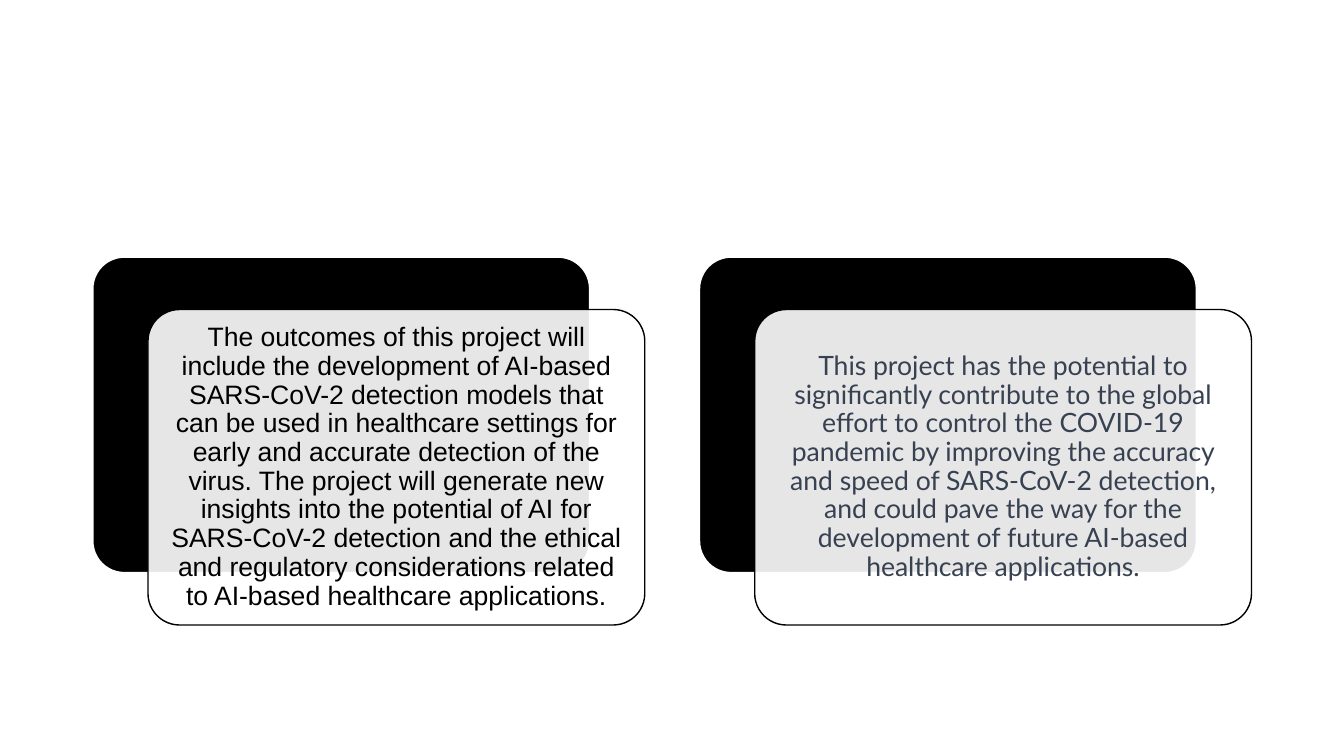
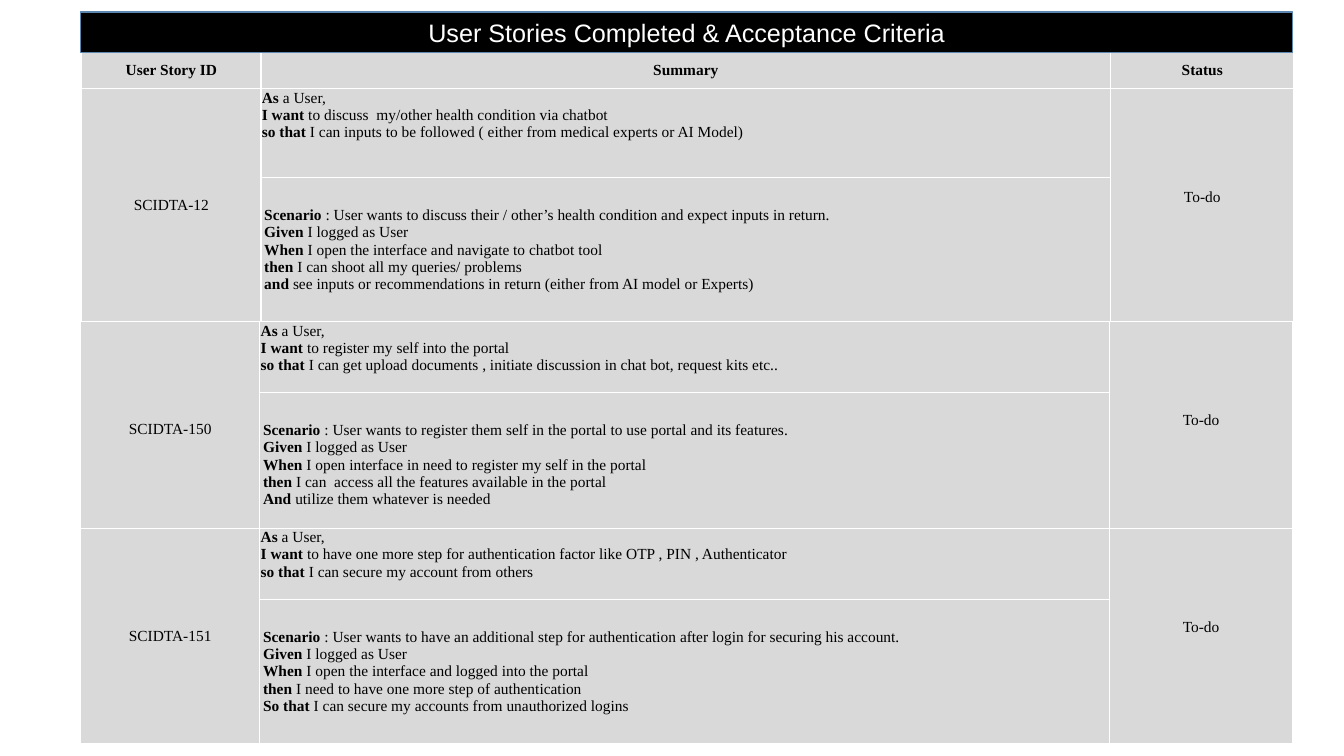
from lxml import etree
from pptx import Presentation
from pptx.dml.color import RGBColor
from pptx.enum.shapes import MSO_SHAPE
from pptx.enum.text import MSO_ANCHOR, PP_ALIGN
from pptx.oxml import parse_xml
from pptx.oxml.ns import nsdecls, qn
from pptx.util import Cm, Pt

COLOURS = {"black": "000000", "white": "FFFFFF", "grey": "D9D9D9",
           "slate": "374151", "title_line": "5C87B1"}
RGB = {name: RGBColor.from_string(value) for name, value in COLOURS.items()}


def add_box(slide, kind, bounds, fill, line):
    """Add a filled, outlined shape without a shadow."""
    shape = slide.shapes.add_shape(kind, *(Cm(length) for length in bounds))
    shape.shadow.inherit = False
    shape.fill.solid()
    shape.fill.fore_color.rgb = RGB[fill]
    shape.line.color.rgb = RGB[line]
    shape.line.width = Pt(1)
    return shape


def write_text(frame, lines, alignment, size, font, colour, line_spacing=1.0):
    """Write one paragraph per line; each line is a list of (text, bold)."""
    for index, runs in enumerate(lines):
        paragraph = frame.add_paragraph() if index else frame.paragraphs[0]
        paragraph.alignment = alignment
        paragraph.line_spacing = line_spacing
        for text, bold in runs:
            run = paragraph.add_run()
            run.text = text
            style = {"size": Pt(size), "name": font, "bold": bold}
            for attribute, value in style.items():
                setattr(run.font, attribute, value)
            run.font.color.rgb = RGB[colour]


presentation = Presentation()
presentation.slide_width = Cm(33.87)
presentation.slide_height = Cm(19.05)
blank_layout = presentation.slide_layouts[6]

# Slide 1: two outcome cards, each over a black panel
slide = presentation.slides.add_slide(blank_layout)
outcomes = [
    ("The outcomes of this project will include the development of AI-based "
     "SARS-CoV-2 detection models that can be used in healthcare settings for "
     "early and accurate detection of the virus. The project will generate new "
     "insights into the potential of AI for SARS-CoV-2 detection and the ethical "
     "and regulatory considerations related to AI-based healthcare applications.",
     "Arial", "black"),
    ("This project has the potential to significantly contribute to the global "
     "effort to control the COVID-19 pandemic by improving the accuracy and speed "
     "of SARS-CoV-2 detection, and could pave the way for the development of "
     "future AI-based healthcare applications.",
     "Lato", "slate"),
]
card_width, card_height = 12.52, 7.95
for index, (text, font, colour) in enumerate(outcomes):
    left, top = 2.34 + index * 15.29, 6.48
    panel = add_box(slide, MSO_SHAPE.ROUNDED_RECTANGLE,
                    (left, top, card_width, card_height), "black", "white")
    card = add_box(slide, MSO_SHAPE.ROUNDED_RECTANGLE,
                   (left + 1.39, top + 1.32, card_width, card_height), "white", "black")
    for shape in (panel, card):
        shape.adjustments[0] = 0.1
    # The card lets a little of the panel show through
    fill_colour = card.fill._xPr.find(qn("a:solidFill"))[0]
    etree.SubElement(fill_colour, qn("a:alpha")).set("val", "90000")
    frame = card.text_frame
    frame_format = {"word_wrap": True, "vertical_anchor": MSO_ANCHOR.MIDDLE,
                    "margin_left": Cm(0.2), "margin_right": Cm(0.2),
                    "margin_top": Cm(0.2), "margin_bottom": Cm(0.2)}
    for attribute, value in frame_format.items():
        setattr(frame, attribute, value)
    write_text(frame, [[(text, False)]], PP_ALIGN.CENTER, 19, font, colour, 0.9)

# Slide 2: user stories; "|" ends the bold part of a line
slide = presentation.slides.add_slide(blank_layout)
headings = ["User Story ID", "Summary", "Status"]
stories = [
    ("SCIDTA-12", 2.06, 1.3, 2.24,
     ["As| a User,",
      "I want |to discuss  my/other health condition via chatbot",
      "so that |I can inputs to be followed ( either from medical experts or AI Model)"],
     ["Scenario| : User wants to discuss their / other’s health condition and expect inputs in return.",
      "Given| I logged as User",
      "When| I open the interface and navigate to chatbot tool",
      "then| I can shoot all my queries/ problems",
      "and| see inputs or recommendations in return (either from AI model or Experts)"]),
    ("SCIDTA-150", 2.03, 8.1, 1.8,
     ["As| a User,",
      "I want |to register my self into the portal",
      "so that |I can get upload documents , initiate discussion in chat bot, request kits etc.."],
     ["Scenario| : User wants to register them self in the portal to use portal and its features.",
      "Given| I logged as User",
      "When |I open interface in need to register my self in the portal",
      "then| I can  access all the features available in the portal",
      "And |utilize them whatever is needed"]),
    ("SCIDTA-151", 2.03, 13.31, 1.8,
     ["As| a User,",
      "I want |to have one more step for authentication factor like OTP , PIN , Authenticator",
      "so that |I can secure my account from others"],
     ["Scenario| : User wants to have an additional step for authentication after login for securing his account.",
      "Given| I logged as User",
      "When| I open the interface and logged into the portal",
      "then| I need to have one more step of authentication",
      "So that |I can secure my accounts from unauthorized logins"]),
]
column_widths = [4.52, 21.41, 4.62]
table_width = sum(column_widths)
centred = {"vertical_anchor": MSO_ANCHOR.MIDDLE, "margin_left": Cm(0.08),
           "margin_right": Cm(0.08), "margin_top": Cm(0.05), "margin_bottom": Cm(0.05)}
raised = {**centred, "margin_bottom": Cm(0.48)}
top_left = {"vertical_anchor": MSO_ANCHOR.TOP, "margin_left": Cm(0.02),
            "margin_right": Cm(0.02), "margin_top": Cm(0.02), "margin_bottom": 0}

for index, (story_id, left, top, story_height, story, scenario) in enumerate(stories):
    # Only the first table carries the headings
    row_heights = [story_height, 3.63] if index else [0.94, story_height, 3.63]
    first = len(row_heights) - 2
    frame = slide.shapes.add_table(len(row_heights), 3, Cm(left), Cm(top),
                                   Cm(table_width), Cm(sum(row_heights)))
    table = frame.table
    table.first_row = table.horz_banding = False
    for column, width in zip(table.columns, column_widths):
        column.width = Cm(width)
    for row, height in zip(table.rows, row_heights):
        row.height = Cm(height)

    # White borders and grey fill
    for cell in table.iter_cells():
        properties = cell._tc.get_or_add_tcPr()
        for side in ("lnL", "lnR", "lnT", "lnB"):
            properties.append(parse_xml(
                f'<a:{side} {nsdecls("a")} w="12700"><a:solidFill>'
                f'<a:srgbClr val="{COLOURS["white"]}"/></a:solidFill></a:{side}>'))
        cell.fill.solid()
        cell.fill.fore_color.rgb = RGB["grey"]

    # Story ID and status span the story and its scenario
    for column in (0, 2):
        table.cell(first, column).merge(table.cell(first + 1, column))
    contents = [
        (first, 0, [[(story_id, False)]], PP_ALIGN.CENTER, centred),
        (first, 2, [[("To-do", False)]], PP_ALIGN.CENTER, raised),
    ]
    for row, lines, cell_format in ((first, story, top_left), (first + 1, scenario, centred)):
        split_lines = [list(zip(line.split("|"), (True, False))) for line in lines]
        contents.append((row, 1, split_lines, PP_ALIGN.LEFT, cell_format))
    if first:
        contents += [(0, column, [[(heading, True)]], PP_ALIGN.CENTER, centred)
                     for column, heading in enumerate(headings)]
    for row, column, lines, alignment, cell_format in contents:
        cell = table.cell(row, column)
        for attribute, value in cell_format.items():
            setattr(cell, attribute, value)
        write_text(cell.text_frame, lines, alignment, 11, "Times New Roman", "black")

# Title band
band = add_box(slide, MSO_SHAPE.RECTANGLE, (2.03, 0.3, table_width, 1.02),
               "black", "title_line")
band.text_frame.vertical_anchor = MSO_ANCHOR.MIDDLE
write_text(band.text_frame, [[("User Stories Completed & Acceptance Criteria", False)]],
           PP_ALIGN.CENTER, 18, "Arial", "white")

presentation.save("out.pptx")
